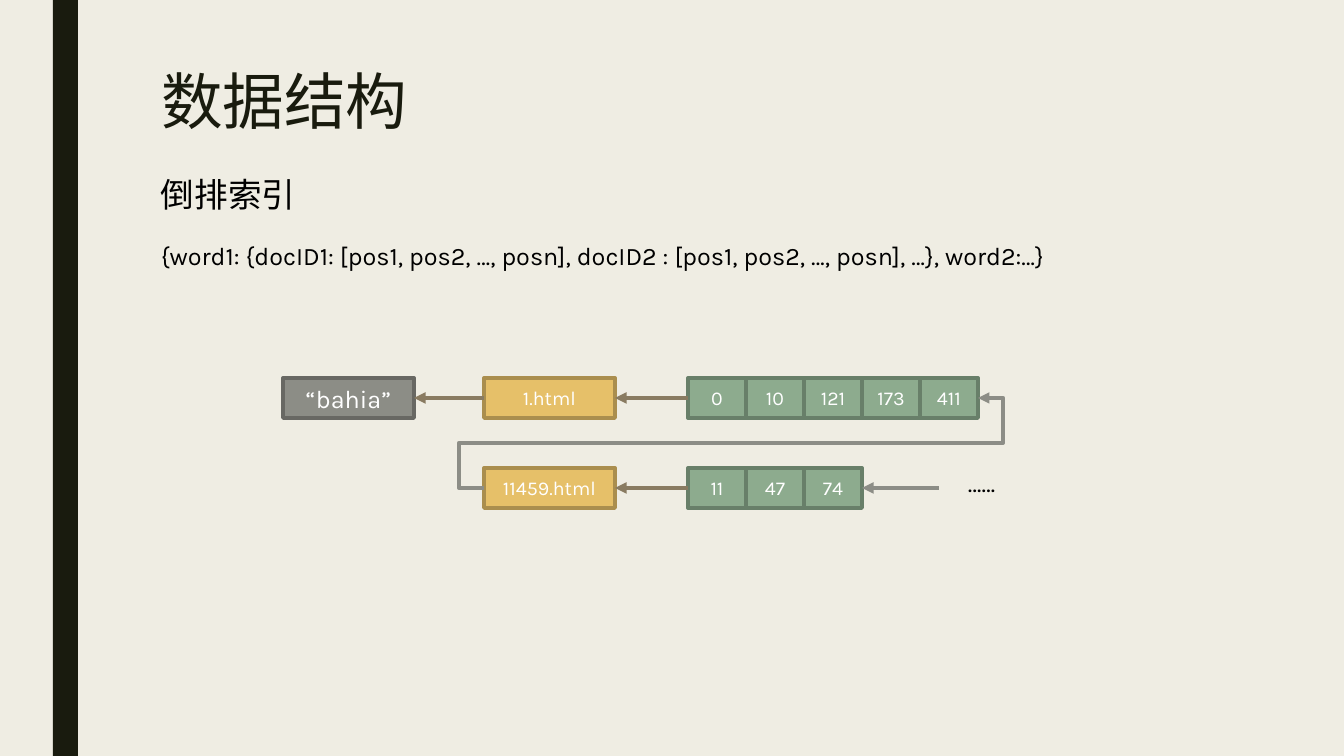
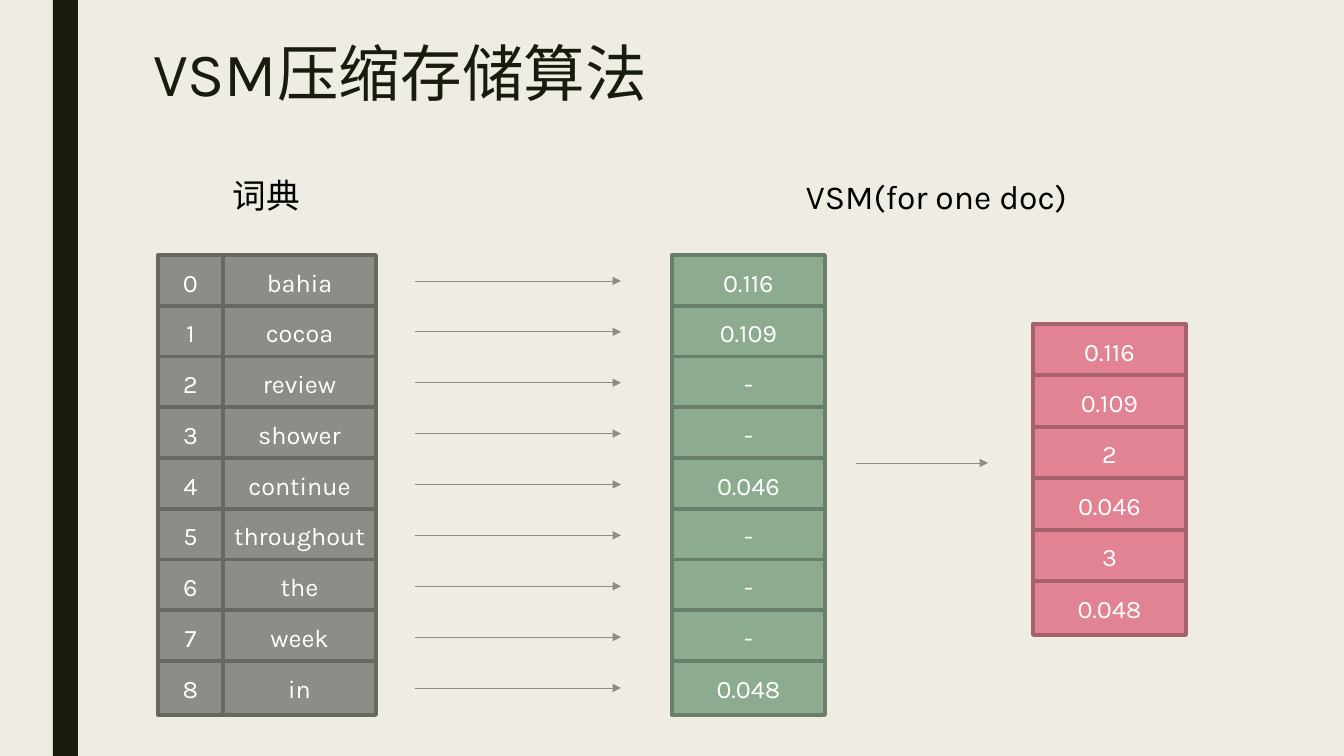
from dataclasses import dataclass

from lxml import etree
from pptx import Presentation
from pptx import util as u
from pptx.dml import color
from pptx.enum import shapes, text
from pptx.oxml import ns

TOP, LEFT, BOTTOM, RIGHT = range(4)


@dataclass(frozen=True)
class Theme:
    font: str = "Karla"
    background: str = "EFEDE3"
    dark: str = "191B0E"
    black: str = "000000"
    white: str = "FFFFFF"
    gray: tuple = ("8C8D86", "686863")
    gold: tuple = ("E6C069", "AA8E4E")
    green: tuple = ("8DAB8E", "687F69")
    pink: tuple = ("E28394", "A7616D")
    brown: str = "897B61"
    title: int = 44
    heading: int = 24
    body: int = 18
    small: int = 14
    thick: float = 2.75
    thin: float = 0.5


THEME = Theme()
SLIDE_WIDTH, SLIDE_HEIGHT = 1344, 756


def px(length):
    return u.Emu(round(length * 914400 / 100.8))


def rgb(value):
    return color.RGBColor.from_string(value)


def write(shape, words, size, ink, alignment=text.PP_ALIGN.LEFT):
    frame = shape.text_frame
    frame.text = words
    frame.word_wrap = True
    paragraph = frame.paragraphs[0]
    paragraph.alignment = alignment
    for run in paragraph.runs:
        run.font.name = THEME.font
        run.font.size = u.Pt(size)
        run.font.color.rgb = rgb(ink)
    return paragraph


def add_rectangle(slide, box, fill):
    shape = slide.shapes.add_shape(shapes.MSO_SHAPE.RECTANGLE, *map(px, box))
    shape.shadow.inherit = False
    shape.fill.solid()
    shape.fill.fore_color.rgb = rgb(fill)
    shape.line.fill.background()
    return shape


def add_cell(slide, box, words, palette, size=THEME.body):
    fill, outline = palette
    cell = add_rectangle(slide, box, fill)
    cell.line.color.rgb = rgb(outline)
    cell.line.width = u.Pt(THEME.thick)
    cell.text_frame.vertical_anchor = text.MSO_ANCHOR.MIDDLE
    write(cell, words, size, THEME.white, text.PP_ALIGN.CENTER)
    return cell


def add_label(slide, box, words, size=THEME.body):
    label = slide.shapes.add_textbox(*map(px, box))
    write(label, words, size, THEME.black)


def add_arrow(slide, start, end, ink, width, kind=shapes.MSO_CONNECTOR.STRAIGHT):
    arrow = slide.shapes.add_connector(kind, *map(px, (*start, *end)))
    arrow.line.color.rgb = rgb(ink)
    arrow.line.width = u.Pt(width)
    etree.SubElement(arrow.get_or_add_ln(), ns.qn("a:tailEnd"), type="triangle")
    etree.SubElement(arrow.element.spPr, ns.qn("a:effectLst"))
    return arrow


def link(slide, source, target, ink, kind=shapes.MSO_CONNECTOR.STRAIGHT):
    arrow = add_arrow(slide, (0, 0), (0, 0), ink, THEME.thick, kind)
    arrow.begin_connect(source, LEFT)
    arrow.end_connect(target, RIGHT)
    return arrow


def link_around(slide, source, target, ink):
    arrow = link(slide, source, target, ink, shapes.MSO_CONNECTOR.ELBOW)
    geometry = arrow.element.spPr.find(ns.qn("a:prstGeom"))
    geometry.set("prst", "bentConnector5")
    guides = geometry.find(ns.qn("a:avLst"))
    if guides is None:
        guides = etree.SubElement(geometry, ns.qn("a:avLst"))
    for number, value in enumerate((-5100, 50000, 105100), 1):
        etree.SubElement(guides, ns.qn("a:gd"), name=f"adj{number}", fmla=f"val {value}")


def add_row(slide, left, top, values):
    width, height = 58, 40
    return [
        add_cell(slide, (left + i * width, top, width, height), value, THEME.green, THEME.small)
        for i, value in enumerate(values)
    ]


def spread(first, last, count):
    return [first + (last - first) * i / (count - 1) for i in range(count)]


def add_column(slide, left, width, first, last, values, palette):
    for top, value in zip(spread(first, last, len(values)), values):
        add_cell(slide, (left, top, width, 54), value, palette)


def add_titled_slide(presentation, box, words):
    slide = presentation.slides.add_slide(presentation.slide_layouts[5])
    title = slide.shapes.title
    title.left, title.top, title.width, title.height = map(px, box)
    title.text_frame.vertical_anchor = text.MSO_ANCHOR.TOP
    title.text_frame.auto_size = text.MSO_AUTO_SIZE.NONE
    write(title, words, THEME.title, THEME.dark).line_spacing = 0.89
    return slide


def style_master(presentation, slide):
    master = presentation.slide_master
    master.background.fill.solid()
    master.background.fill.fore_color.rgb = rgb(THEME.background)
    band = add_rectangle(slide, (53, 0, 25, SLIDE_HEIGHT), THEME.dark)
    band.element.nvSpPr.cNvPr.id = 99
    master.shapes.element.insert(2, band.element)


def draw_postings(slide, left, top):
    box_width, height, row_step = 131, 40, 90
    document_left, cells_left = left + 201, left + 405
    word = add_cell(slide, (left, top, box_width, height), "“bahia”", THEME.gray)
    postings = (
        ("1.html", ("0", "10", "121", "173", "411")),
        ("11459.html", ("11", "47", "74")),
    )
    documents, rows = [], []
    for i, (name, positions) in enumerate(postings):
        row_top = top + i * row_step
        box = (document_left, row_top, box_width, height)
        documents.append(add_cell(slide, box, name, THEME.gold, THEME.small))
        rows.append(add_row(slide, cells_left, row_top, positions))
        link(slide, rows[i][0], documents[i], THEME.brown)
    link(slide, documents[0], word, THEME.brown)
    link_around(slide, documents[1], rows[0][-1], THEME.gray[0])

    middle = top + row_step + height // 2
    more = add_arrow(
        slide, (left + 656, middle), (left + 580, middle), THEME.gray[0], THEME.thick
    )
    more.end_connect(rows[1][-1], RIGHT)
    add_label(slide, (left + 675, middle - 26, 105, 40), "……")


def draw_dictionary(slide, left, top, last_top):
    words = ("bahia", "cocoa", "review", "shower", "continue", "throughout", "the", "week", "in")
    numbers = [str(i) for i in range(len(words))]
    add_column(slide, left, 65, top, last_top, numbers, THEME.gray)
    add_column(slide, left + 65, 153, top, last_top, words, THEME.gray)
    add_label(slide, (left + 65, top - 85, 173, 50), "词典", THEME.heading)


def draw_vector(slide, left, top, last_top):
    weights = ("0.116", "0.109", "-", "-", "0.046", "-", "-", "-", "0.048")
    add_column(slide, left, 153, top, last_top, weights, THEME.green)
    add_label(slide, (left + 124, top - 84, 291, 50), "VSM(for one doc)", THEME.heading)


def draw_compressed(slide, left, top, last_top):
    weights = ("0.116", "0.109", "2", "0.046", "3", "0.048")
    add_column(slide, left, 153, top, last_top, weights, THEME.pink)


def draw_mapping(slide, left, right, heights):
    for height in heights:
        add_arrow(slide, (left, height), (right, height), THEME.gray[0], THEME.thin)


def build_structure_slide(presentation):
    slide = add_titled_slide(presentation, (151, 67, 1058, 93), "数据结构")
    add_label(slide, (151, 169, 164, 50), "倒排索引", THEME.heading)
    add_label(
        slide,
        (151, 235, 1123, 40),
        "{word1: {docID1: [pos1, pos2, …, posn], docID2 : [pos1, pos2, …, posn], …}, word2:…}",
    )
    draw_postings(slide, 283, 378)
    return slide


def build_compression_slide(presentation):
    slide = add_titled_slide(presentation, (143, 39, 1058, 81), "VSM压缩存储算法")
    draw_dictionary(slide, 158, 255, 661)
    draw_vector(slide, 672, 255, 661)
    draw_compressed(slide, 1033, 324, 581)
    draw_mapping(slide, 415, 621, spread(281, 688, 9))
    draw_mapping(slide, 856, 988, [463])


def main():
    presentation = Presentation()
    presentation.slide_width, presentation.slide_height = px(SLIDE_WIDTH), px(SLIDE_HEIGHT)
    first_slide = build_structure_slide(presentation)
    style_master(presentation, first_slide)
    build_compression_slide(presentation)
    presentation.save("out.pptx")


if __name__ == "__main__":
    main()
